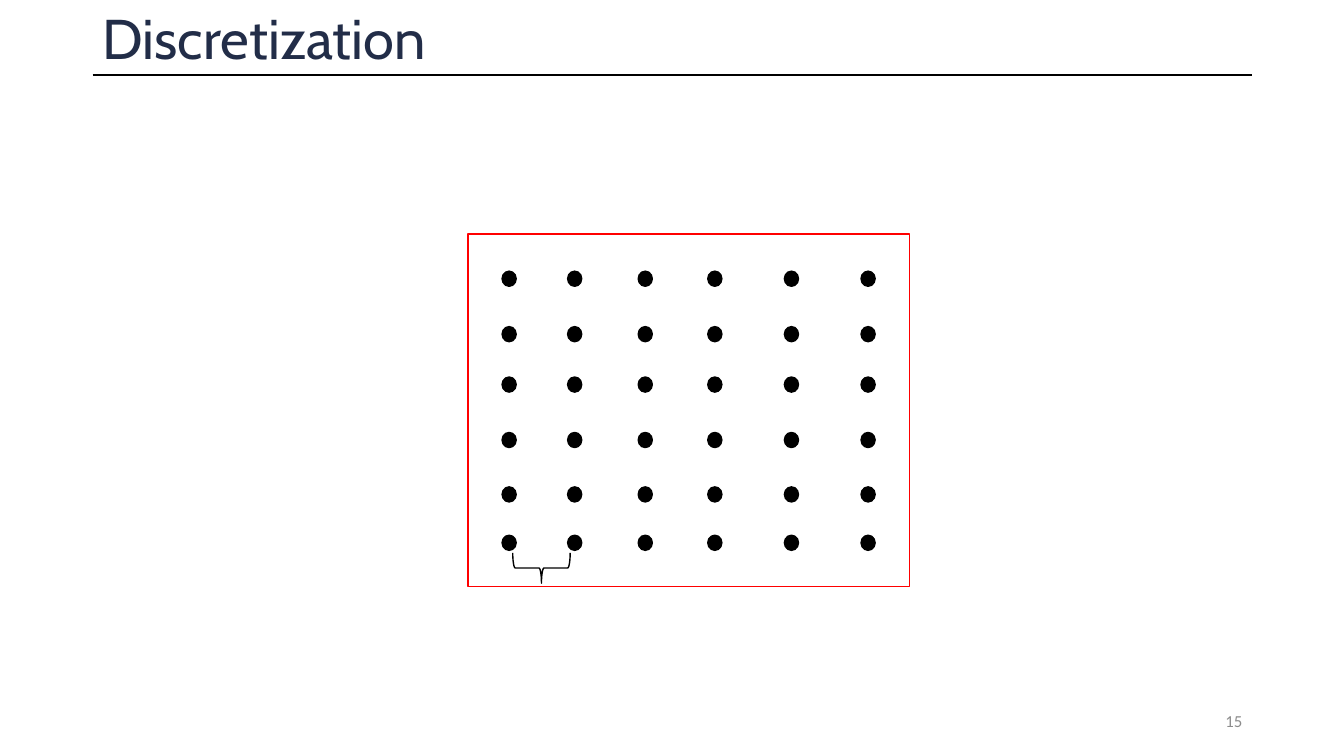
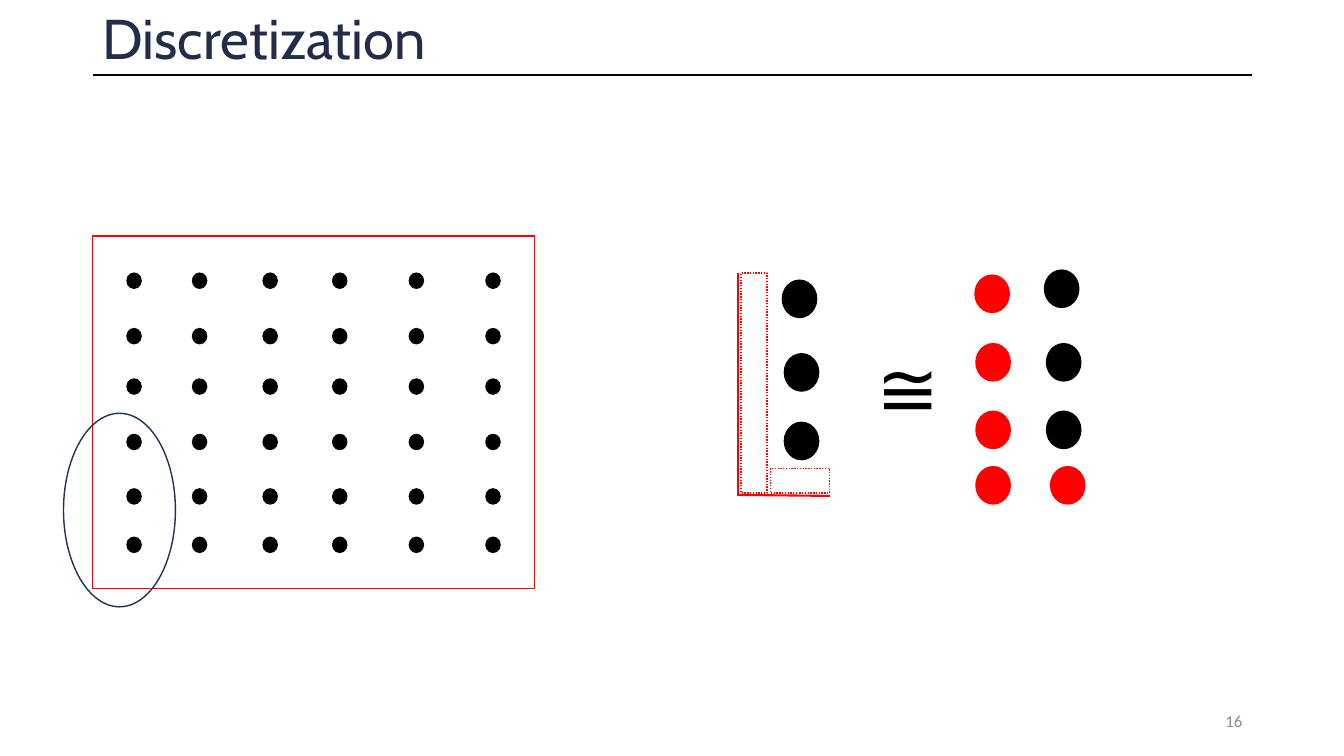
"""Builds two slides that show the discretization of an image."""
import dataclasses
import itertools
import typing

import lxml.etree
import pptx
import pptx.dml.color
import pptx.enum.dml
import pptx.enum.shapes
import pptx.enum.text
import pptx.oxml.ns
import pptx.shapes.autoshape
import pptx.slide
import pptx.util

SCALE = 9144
Preset = pptx.enum.shapes.MSO_SHAPE
Align = pptx.enum.text.PP_ALIGN
Anchor = pptx.enum.text.MSO_ANCHOR


@dataclasses.dataclass(frozen=True)
class Theme:
    """Colours, fonts, type sizes and line widths."""

    ink: str = "000000"
    accent: str = "FF0000"
    title: str = "222D48"
    outline: str = "1E3256"
    muted: str = "8C8C8C"
    title_font: str = "Cabin"
    body_font: str = "Calibri"
    title_size: int = 40
    symbol_size: int = 54
    number_size: int = 12
    thin: float = 1
    thick: float = 1.5


class Box(typing.NamedTuple):
    """A rectangle in px."""

    left: int
    top: int
    width: int
    height: int


class TextStyle(typing.NamedTuple):
    """The look of a text box."""

    font: str
    size: int
    color: str
    align: Align = Align.LEFT
    anchor: Anchor = Anchor.MIDDLE
    inset: Box = Box(10, 5, 10, 5)
    spacing: float = 1.0


class DotColumn(typing.NamedTuple):
    """Large dots of one colour, given by their top left corners."""

    color: str
    corners: tuple[tuple[int, int], ...]


class Segment(typing.NamedTuple):
    """A straight line between two points."""

    start: tuple[int, int]
    end: tuple[int, int]
    color: str


THEME = Theme()
TITLE_STYLE = TextStyle(THEME.title_font, THEME.title_size, THEME.title, spacing=0.9)
NUMBER_STYLE = TextStyle(THEME.body_font, THEME.number_size, THEME.muted, Align.RIGHT)
SYMBOL_STYLE = TextStyle(
    THEME.body_font, THEME.symbol_size, THEME.ink, anchor=Anchor.TOP, inset=Box(0, 0, 0, 0)
)
TITLE_RULE = Segment((92, 74), (1242, 74), THEME.ink)

GRID_SIZE = (438, 350)
GRID_COLUMNS = (34, 99, 169, 238, 314, 390)
GRID_ROWS = (37, 92, 142, 197, 251, 299)
GRID_DOT = (14, 15)
LARGE_DOT = (34, 37)

DOT_COLUMNS = (
    DotColumn(THEME.ink, ((776, 278), (778, 351), (778, 419))),
    DotColumn(THEME.ink, ((1036, 268), (1038, 341), (1038, 408))),
    DotColumn(THEME.accent, ((967, 273), (968, 341), (968, 408), (968, 463), (1042, 463))),
)
GHOST_BOXES = (Box(735, 271, 26, 218), Box(764, 465, 59, 24))
BORDER_SEGMENTS = (
    Segment((732, 271), (732, 492), THEME.accent),
    Segment((732, 491), (823, 492), THEME.accent),
)


def px(length: int) -> pptx.util.Emu:
    """Turn px into EMU."""
    return pptx.util.Emu(length * SCALE)


def rgb(color: str) -> pptx.dml.color.RGBColor:
    """Turn a hex string into a colour."""
    return pptx.dml.color.RGBColor.from_string(color)


def add_shape(
    slide: pptx.slide.Slide, preset: Preset, box: Box, line: str, fill: str | None = None
) -> pptx.shapes.autoshape.Shape:
    """Add a preset shape with a thin line and an optional fill."""
    shape = slide.shapes.add_shape(preset, *map(px, box))
    shape.shadow.inherit = False
    if fill is None:
        shape.fill.background()
    else:
        shape.fill.solid()
        shape.fill.fore_color.rgb = rgb(fill)
    shape.line.color.rgb = rgb(line)
    shape.line.width = pptx.util.Pt(THEME.thin)
    return shape


def add_segment(slide: pptx.slide.Slide, segment: Segment) -> None:
    """Add a thick straight line."""
    connector = slide.shapes.add_connector(
        pptx.enum.shapes.MSO_CONNECTOR.STRAIGHT, *map(px, segment.start + segment.end)
    )
    connector.line.color.rgb = rgb(segment.color)
    connector.line.width = pptx.util.Pt(THEME.thick)
    lxml.etree.SubElement(connector._element.spPr, pptx.oxml.ns.qn("a:effectLst"))


def add_text(slide: pptx.slide.Slide, box: Box, text: str, style: TextStyle) -> None:
    """Add a text box with one run."""
    frame = slide.shapes.add_textbox(*map(px, box)).text_frame
    frame.word_wrap = True
    frame.vertical_anchor = style.anchor
    frame.margin_left, frame.margin_top, frame.margin_right, frame.margin_bottom = map(
        px, style.inset
    )
    paragraph = frame.paragraphs[0]
    paragraph.alignment = style.align
    paragraph.line_spacing = style.spacing
    run = paragraph.add_run()
    run.text = text
    run.font.name = style.font
    run.font.size = pptx.util.Pt(style.size)
    run.font.color.rgb = rgb(style.color)


def add_slide(presentation: pptx.presentation.Presentation, number: int) -> pptx.slide.Slide:
    """Add a blank slide with the shared title, rule and number."""
    slide = presentation.slides.add_slide(presentation.slide_layouts[6])
    add_text(slide, Box(92, 0, 1150, 83), "Discretization", TITLE_STYLE)
    add_segment(slide, TITLE_RULE)
    add_text(slide, Box(942, 695, 300, 40), str(number), NUMBER_STYLE)
    return slide


def add_dot_grid(slide: pptx.slide.Slide, left: int, top: int) -> None:
    """Add the framed grid of small dots."""
    add_shape(slide, Preset.RECTANGLE, Box(left, top, *GRID_SIZE), THEME.accent)
    for row, column in itertools.product(GRID_ROWS, GRID_COLUMNS):
        dot = Box(left + column, top + row, *GRID_DOT)
        add_shape(slide, Preset.OVAL, dot, THEME.ink, THEME.ink)


def build_spacing_slide(presentation: pptx.presentation.Presentation) -> None:
    """Build the slide that marks the gap between two dots."""
    slide = add_slide(presentation, 15)
    add_dot_grid(slide, 464, 232)
    brace = add_shape(slide, Preset.RIGHT_BRACE, Box(522, 535, 30, 57), THEME.ink)
    brace.rotation = 90


def build_boundary_slide(presentation: pptx.presentation.Presentation) -> None:
    """Build the slide that replaces the border by red dots."""
    slide = add_slide(presentation, 16)
    add_dot_grid(slide, 92, 234)
    add_shape(slide, Preset.OVAL, Box(63, 410, 111, 192), THEME.outline)
    for box in GHOST_BOXES:
        ghost = add_shape(slide, Preset.RECTANGLE, box, THEME.accent)
        ghost.line.dash_style = pptx.enum.dml.MSO_LINE.ROUND_DOT
    for segment in BORDER_SEGMENTS:
        add_segment(slide, segment)
    for column in DOT_COLUMNS:
        for corner in column.corners:
            add_shape(slide, Preset.OVAL, Box(*corner, *LARGE_DOT), column.color, column.color)
    add_text(slide, Box(869, 338, 41, 91), "≅", SYMBOL_STYLE)


def main() -> None:
    """Build and save the presentation."""
    presentation = pptx.Presentation()
    presentation.slide_width = px(1333)
    presentation.slide_height = px(750)
    build_spacing_slide(presentation)
    build_boundary_slide(presentation)
    presentation.save("out.pptx")


if __name__ == "__main__":
    main()
